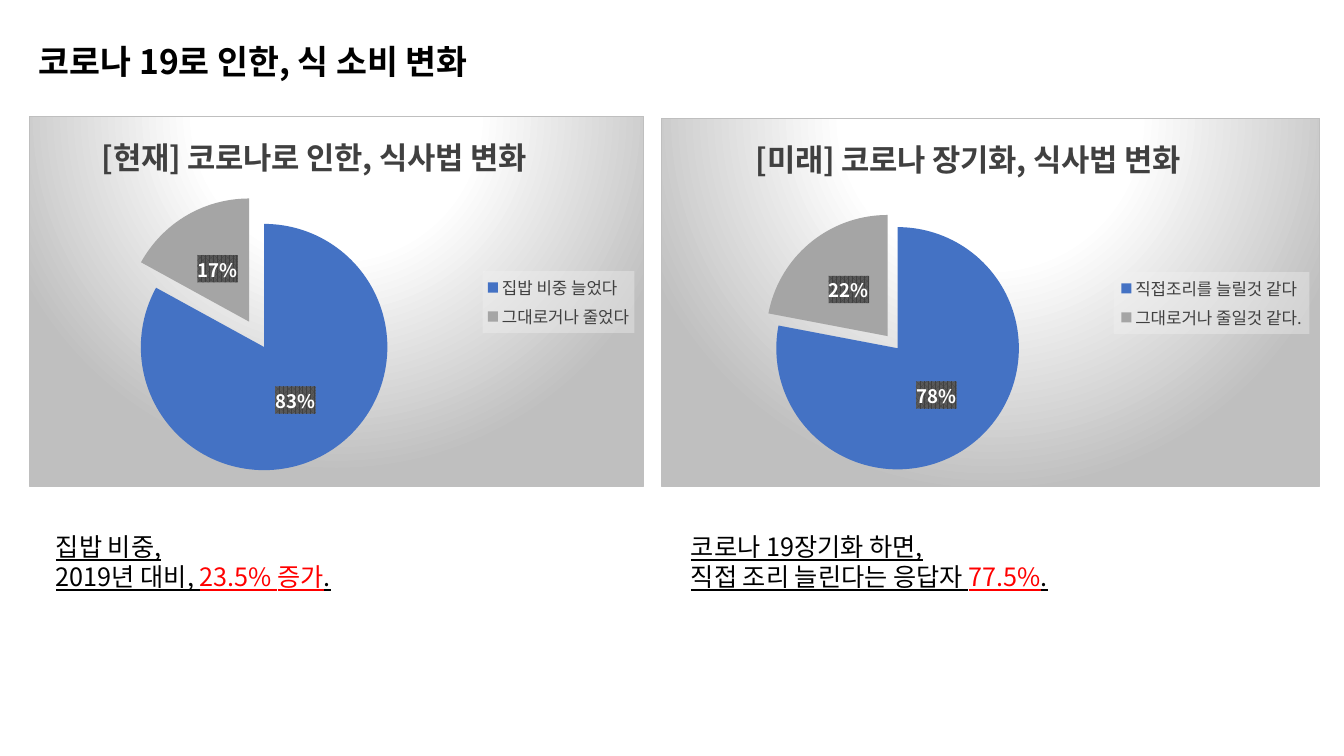
from lxml.etree import SubElement
from pptx import Presentation
from pptx.chart.data import CategoryChartData
from pptx.dml.color import RGBColor
from pptx.enum.chart import XL_CHART_TYPE, XL_LABEL_POSITION, XL_LEGEND_POSITION
from pptx.oxml import parse_xml
from pptx.oxml.ns import nsdecls, qn
from pptx.util import Emu, Pt

SLIDE_W, SLIDE_H = 1344, 756
SCALE = 12192000 / SLIDE_W
FONT = "Noto Sans CJK KR"
BLACK, RED, GRAY = "000000", "FF0000", "404040"
SLICES = ("4472C4", "A5A5A5")

BACKDROP = """<a:gradFill><a:gsLst>
<a:gs pos="0"><a:srgbClr val="FFFFFF"/></a:gs>
<a:gs pos="39000"><a:srgbClr val="FFFFFF"/></a:gs>
<a:gs pos="100000"><a:srgbClr val="BFBFBF"/></a:gs></a:gsLst>
<a:path path="circle"><a:fillToRect l="50000" t="-80000" r="50000" b="180000"/></a:path></a:gradFill>
<a:ln w="9525"><a:solidFill><a:srgbClr val="BFBFBF"/></a:solidFill></a:ln>"""
LEGEND_FILL = """<a:solidFill><a:srgbClr val="F2F2F2"><a:alpha val="39000"/></a:srgbClr></a:solidFill>"""
LABEL_FILL = """<a:pattFill prst="pct75"><a:fgClr><a:srgbClr val="404040"/></a:fgClr>
<a:bgClr><a:srgbClr val="595959"/></a:bgClr></a:pattFill>"""


def px(n):
    return Emu(round(n * SCALE))


def rgb(color):
    return RGBColor.from_string(color)


def style(font, size, color, bold=False, underline=None):
    font.size, font.bold, font.underline = Pt(size), bold, underline
    font.color.rgb = rgb(color)
    font.name = FONT
    rPr = font._element if hasattr(font, "_element") else font._rPr
    SubElement(rPr, qn("a:ea")).set("typeface", FONT)


def paint(parent, fill):
    """Give a chart part its fill, just before its text properties."""
    sp_pr = parse_xml(f"<c:spPr {nsdecls('c', 'a')}>{fill}</c:spPr>")
    parent.find(qn("c:txPr")).addprevious(sp_pr)


def place(parent, index, box, part, inner=False):
    """Lay out a chart part at part, in slide px, within the chart's box."""
    for old in parent.findall(qn("c:layout")):
        parent.remove(old)
    left, top, width, height = box
    ratios = {"x": (part[0] - left) / width, "y": (part[1] - top) / height}
    if len(part) == 4:
        ratios.update(w=part[2] / width, h=part[3] / height)
    target = '<c:layoutTarget val="inner"/>' if inner else ""
    modes = "".join(f'<c:{k}Mode val="edge"/>' for k in "xy")
    values = "".join(f'<c:{k} val="{v:.4f}"/>' for k, v in ratios.items())
    parent.insert(index, parse_xml(
        f"<c:layout {nsdecls('c')}><c:manualLayout>{target}{modes}{values}"
        "</c:manualLayout></c:layout>"))


def add_pie(slide, box, title, title_at, shares, explosions, pie_box, legend_box):
    data = CategoryChartData()
    data.categories = list(shares)
    data.add_series("Series 1", list(shares.values()))
    chart = slide.shapes.add_chart(XL_CHART_TYPE.PIE, *map(px, box), data).chart
    style(chart.font, 10, BLACK)
    paint(chart._chartSpace, BACKDROP)

    tf = chart.chart_title.text_frame
    tf.text = title
    style(tf.paragraphs[0].runs[0].font, 22, GRAY, bold=True)
    place(chart.chart_title._element, 1, box, title_at)

    plot = chart.plots[0]
    plot.vary_by_categories = True
    place(plot._element.getparent(), 0, box, pie_box, inner=True)
    for i, (color, explosion) in enumerate(zip(SLICES, explosions)):
        fmt = plot.series[0].points[i].format
        fmt.fill.solid()
        fmt.fill.fore_color.rgb = rgb(color)
        fmt.line.fill.background()
        dPt = plot.series[0]._element.findall(qn("c:dPt"))[i]
        dPt.find(qn("c:spPr")).addprevious(
            parse_xml(f'<c:explosion {nsdecls("c")} val="{explosion}"/>'))

    plot.has_data_labels = True
    labels = plot.data_labels
    labels.show_percentage, labels.show_value = True, False
    labels.number_format, labels.number_format_is_linked = "0%", False
    labels.position = XL_LABEL_POSITION.CENTER
    style(labels.font, 13.3, "FFFFFF", bold=True)
    paint(labels._element, LABEL_FILL)

    chart.has_legend = True
    legend = chart.legend
    legend.position = XL_LEGEND_POSITION.RIGHT
    legend.include_in_layout = False
    style(legend.font, 12, GRAY)
    paint(legend._element, LEGEND_FILL)
    place(legend._element, 1, box, legend_box)


def add_text(slide, box, lines, size, wrap=True, **look):
    """Write one paragraph per line; a line is a list of (text, color)."""
    tf = slide.shapes.add_textbox(*map(px, box)).text_frame
    tf.word_wrap = wrap
    for i, line in enumerate(lines):
        p = tf.paragraphs[0] if i == 0 else tf.add_paragraph()
        for text, color in line:
            r = p.add_run()
            r.text = text
            style(r.font, size, color, **look)


def main():
    prs = Presentation()
    prs.slide_width, prs.slide_height = px(SLIDE_W), px(SLIDE_H)
    slide = prs.slides.add_slide(prs.slide_layouts[6])

    add_pie(slide, (29, 116, 615, 371), "[현재] 코로나로 인한, 식사법 변화", (96, 124),
            {"집밥 비중 늘었다": 83, "그대로거나 줄었다": 17}, (12, 12),
            (133, 211, 247, 247), (483, 271, 152, 62))
    add_text(slide, (46, 526, 324, 72),
             [[("집밥 비중,", BLACK)],
              [("2019년 대비, ", BLACK), ("23.5% 증가", RED), (".", BLACK)]],
             18, underline=True)

    add_pie(slide, (661, 118, 659, 369), "[미래] 코로나 장기화, 식사법 변화", (750, 126),
            {"직접조리를 늘릴것 같다": 78, "그대로거나 줄일것 같다.": 22}, (0, 13),
            (776, 227, 243, 243), (1114, 272, 196, 62))
    add_text(slide, (681, 526, 416, 72),
             [[("코로나 19장기화 하면,", BLACK)],
              [("직접 조리 늘린다는 응답자 ", BLACK), ("77.5%", RED), (".", BLACK)]],
             18, underline=True)

    add_text(slide, (29, 36, 499, 50), [[("코로나 19로 인한, 식 소비 변화", BLACK)]],
             24, wrap=False, bold=True)
    prs.save("out.pptx")


if __name__ == "__main__":
    main()
